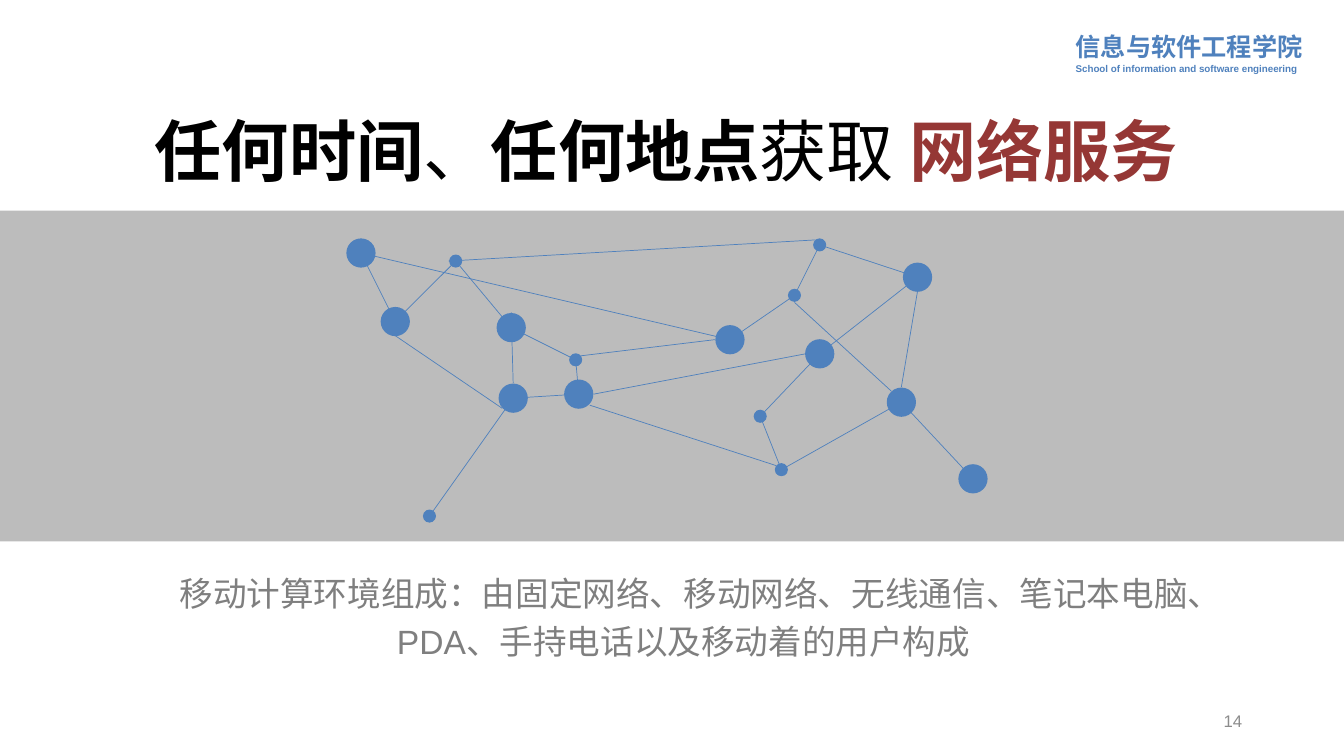
import pptx
import pptx.util
import pptx.dml.color
import pptx.enum.shapes
import pptx.enum.text
import pptx.oxml
import pptx.oxml.ns
from itertools import pairwise

Inches = pptx.util.Inches
Pt = pptx.util.Pt
Align = pptx.enum.text.PP_ALIGN
Anchor = pptx.enum.text.MSO_ANCHOR
Shape = pptx.enum.shapes.MSO_SHAPE
rgb = pptx.dml.color.RGBColor.from_string

theme = {
    "font": "Arial",
    "back": "FFFFFF", "band": "B2B2B2", "net": "4F81BD", "ink": "000000",
    "key": "953735", "body": "7F7F7F", "page": "8C8C8C",
    "title": 48, "text": 24, "school": 18, "num": 12, "small": 7,
    "line": 0.5,
}

deck = pptx.Presentation()
deck.slide_width = Inches(13.33)
deck.slide_height = Inches(7.5)
slide = deck.slides.add_slide(deck.slide_layouts[6])
slide.background.fill.solid()
slide.background.fill.fore_color.rgb = rgb(theme["back"])
shapes = slide.shapes


def add_text(box, rows, align, space, anchor=Anchor.TOP, wrap=True):
    frame = shapes.add_textbox(*map(Inches, box)).text_frame
    frame.word_wrap = wrap
    frame.vertical_anchor = anchor
    for i, (size, runs) in enumerate(rows):
        para = frame.add_paragraph() if i else frame.paragraphs[0]
        para.alignment = align
        para.line_spacing = space
        for words, color, bold in runs:
            run = para.add_run()
            run.text = words
            look = {"name": theme["font"], "size": Pt(theme[size]), "bold": bold}
            for key, value in look.items():
                setattr(run.font, key, value)
            run.font.color.rgb = rgb(theme[color])


def add_link(start, end):
    link = shapes.add_connector(
        pptx.enum.shapes.MSO_CONNECTOR.STRAIGHT, *map(Inches, start + end))
    link.line.color.rgb = rgb(theme["net"])
    link.line.width = Pt(theme["line"])
    props = link._element.spPr
    props.append(pptx.oxml.parse_xml(
        f"<a:effectLst {pptx.oxml.ns.nsdecls('a')}/>"))


add_text((10.57, 0.23, 2.45, 0.56), [
    ("school", [("信息与软件工程学院", "net", True)]),
    ("small", [("School of information and software engineering", "net", True)]),
], Align.LEFT, 1.1, wrap=False)

band = shapes.add_shape(Shape.RECTANGLE, *map(Inches, (0, 2.09, 13.33, 3.28)))
band.shadow.inherit = False
band.fill.solid()
band.fill.fore_color.rgb = rgb(theme["band"])
band.line.fill.background()
tint = band.fill._xPr.find(".//" + pptx.oxml.ns.qn("a:srgbClr"))
tint.append(pptx.oxml.parse_xml(
    f"<a:alpha {pptx.oxml.ns.nsdecls('a')} val='86000'/>"))

add_text((9.42, 6.95, 3, 0.4), [("num", [("14", "page", False)])],
         Align.RIGHT, 1.0, Anchor.MIDDLE)

big, small = 0.29, 0.13
nodes = [
    (4.26, 5.12, small), (5.09, 3.95, big), (5.74, 3.91, big),
    (5.71, 3.57, small), (5.07, 3.25, big), (4.52, 2.59, small),
    (3.92, 3.19, big), (3.58, 2.51, big), (7.24, 3.37, big),
    (7.88, 2.93, small), (8.13, 2.43, small), (9.1, 2.75, big),
    (8.13, 3.51, big), (7.54, 4.13, small), (7.75, 4.66, small),
    (8.94, 3.99, big), (9.65, 4.75, big),
]
for start, end in pairwise(nodes):
    add_link(start[:2], end[:2])
for x, y, size in nodes:
    dot = shapes.add_shape(
        Shape.OVAL, *map(Inches, (x - size / 2, y - size / 2, size, size)))
    dot.shadow.inherit = False
    dot.fill.solid()
    dot.fill.fore_color.rgb = rgb(theme["net"])
    dot.line.fill.background()

add_text((0.81, 1.13, 11.6, 0.88), [("title", [
    ("任何时间", "ink", True),
    ("、", "ink", False),
    ("任何地点", "ink", True),
    ("获取 ", "ink", False),
    ("网络服务", "key", True),
])], Align.CENTER, 0.9)
add_text((1.65, 5.55, 10.26, 1.1), [("text", [(
    "移动计算环境组成：由固定网络、移动网络、无线通信、笔记本电脑、"
    "PDA、手持电话以及移动着的用户构成", "body", False)])], Align.CENTER, 1.2)

cross = [
    ((5.07, 3.1), (5.09, 3.8)), ((5.76, 3.53), (7.09, 3.37)),
    ((4.45, 2.59), (8.09, 2.38)), ((5.85, 4.02), (7.7, 4.62)),
    ((5.89, 3.91), (7.99, 3.51)), ((8.94, 3.84), (9.1, 2.89)),
    ((7.88, 3), (8.84, 3.88)), ((3.92, 3.33), (4.98, 4.05)),
]
for start, end in cross:
    add_link(start, end)

deck.save("out.pptx")
